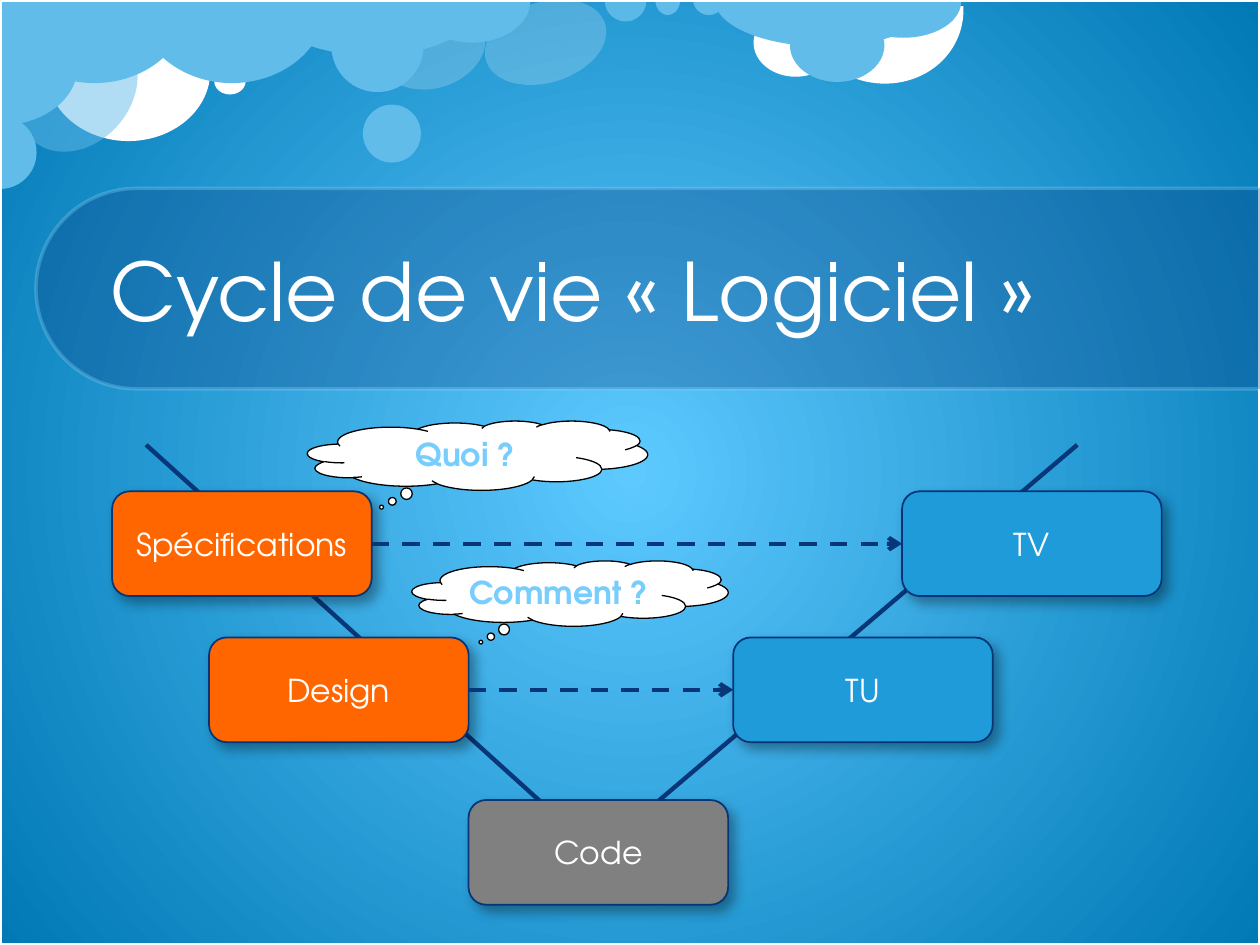
from lxml.etree import SubElement
from pptx import Presentation
from pptx.dml.color import RGBColor
from pptx.enum.dml import MSO_LINE
from pptx.enum.shapes import MSO_CONNECTOR, MSO_SHAPE
from pptx.enum.text import MSO_ANCHOR, PP_ALIGN
from pptx.oxml.ns import qn
from pptx.util import Pt

FONT = "TeX Gyre Adventor"
COLORS = {
    "white": "FFFFFF", "black": "000000", "glow": "5DC9FF", "deep": "0079B5",
    "puff": "62BCE9", "pale": "8FD9FB", "navy": "073779", "edge": "043579",
    "orange": "FF6600", "blue": "1F9BDA", "gray": "808080",
    "sky": "78CDFF", "rim": "0088D6",
}
BOX_W, BOX_H = 148.3, 59.8
OVAL, PIE, ARC = MSO_SHAPE.OVAL, MSO_SHAPE.PIE, MSO_SHAPE.ARC
HALF = (0, 108)  # lower half of a pie

# kind, left, top, width, height, turn, color, opacity
PUFFS = [
    (OVAL, 223.9, -3.6, 46.1, 61.9, 72.8, "white", 20),
    (OVAL, 26.6, 0.7, 93.6, 79.9, 0, "white", 100),
    (ARC, 460.1, -43.2, 87.1, 94.3, 106.5, "white", 100),
    (OVAL, 430.6, 5, 48.2, 38.9, 0, "white", 100),
    (PIE, -0.7, -47.5, 109.4, 95, 0, "puff", 100),
    (PIE, 149.8, -31.7, 126, 63.4, 0, "puff", 100),
    (OVAL, 207.4, 59.8, 33.1, 33.1, 0, "puff", 100),
    (OVAL, 13.7, 13, 61.2, 77, 41.8, "puff", 50),
    (PIE, -20.9, 66.2, 41.8, 41.8, 270, "puff", 100),
    (OVAL, 122.4, 38.9, 18, 15.1, 0, "white", 100),
    (PIE, 77.8, -47.5, 109.4, 95, 0, "puff", 100),
    (PIE, 408.2, -27.4, 126, 54, 0, "puff", 100),
    (OVAL, 451.4, 5, 54, 41.8, 0, "puff", 100),
    (PIE, 483.1, -20.2, 66.2, 41.8, 0, "puff", 100),
    (OVAL, 288.7, -11.5, 46.1, 71.3, 72.8, "white", 20),
    (PIE, 345.6, -11.5, 23.8, 23.8, 0, "pale", 50),
    (PIE, 374.4, -9.4, 14.4, 18, 0, "puff", 100),
    (PIE, 396, -9.4, 18, 18, 0, "puff", 100),
    (OVAL, 189.4, 0, 52.6, 52.6, 0, "puff", 100),
    (PIE, 236.9, -23.8, 66.2, 48.2, 0, "puff", 100),
    (PIE, -33.8, -6.5, 67, 89.3, 270, "puff", 100),
]


def rgb(name):
    return RGBColor.from_string(COLORS[name])


def fade(fill, alpha):
    """Set the opacity, in percent, of a solid fill element."""
    if alpha < 100:
        SubElement(fill[0], qn("a:alpha"), val=str(alpha * 1000))


def add_form(slide, kind, left, top, width, height, turn=0, color=None,
             alpha=100, line=None, weight=1, line_alpha=100, adjust=()):
    form = slide.shapes.add_shape(kind, Pt(left), Pt(top), Pt(width), Pt(height))
    form.shadow.inherit = False
    form.rotation = turn
    for i, value in enumerate(adjust):
        form.adjustments[i] = value
    if color:
        form.fill.solid()
        form.fill.fore_color.rgb = rgb(color)
        fade(form._element.spPr.find(qn("a:solidFill")), alpha)
    else:
        form.fill.background()
    if line:
        form.line.color.rgb = rgb(line)
        form.line.width = Pt(weight)
        fade(form._element.spPr.find(qn("a:ln")).find(qn("a:solidFill")), line_alpha)
    else:
        form.line.fill.background()
    return form


def add_text(form, text, size=18, color="white", bold=False, rim=None,
             align=PP_ALIGN.CENTER, space=None):
    frame = form.text_frame
    frame.word_wrap = True
    frame.vertical_anchor = MSO_ANCHOR.MIDDLE
    para = frame.paragraphs[0]
    para.alignment = align
    if space:
        para.line_spacing = Pt(space)
    run = para.add_run()
    run.text = text
    font = run.font
    font.name, font.size, font.bold = FONT, Pt(size), bold
    font.color.rgb = rgb(color)
    if rim:
        props = run._r.get_or_add_rPr()
        line = SubElement(props, qn("a:ln"), w=str(Pt(1)))
        fill = SubElement(line, qn("a:solidFill"))
        SubElement(fill, qn("a:srgbClr"), val=COLORS[rim])
        props.insert(0, line)


def add_shade(form):
    """Give a box its soft drop shadow."""
    effects = form._element.spPr.find(qn("a:effectLst"))
    shade = SubElement(effects, qn("a:outerShdw"), blurRad=str(Pt(7)),
                       dist=str(Pt(5)), dir=str(50 * 60000), rotWithShape="0")
    tint = SubElement(shade, qn("a:srgbClr"), val=COLORS["black"])
    SubElement(tint, qn("a:alpha"), val="35000")


def add_box(slide, text, left, top, color):
    box = add_form(slide, MSO_SHAPE.FLOWCHART_ALTERNATE_PROCESS, left, top,
                   BOX_W, BOX_H, color=color, line="edge")
    add_shade(box)
    add_text(box, text)
    return box


def add_line(slide, x1=0, y1=0, x2=0, y2=0):
    line = slide.shapes.add_connector(MSO_CONNECTOR.STRAIGHT,
                                      Pt(x1), Pt(y1), Pt(x2), Pt(y2))
    line.line.color.rgb = rgb("navy")
    line.line.width = Pt(2.5)
    SubElement(line._element.spPr, qn("a:effectLst"))
    return line


def add_arrow(slide, left, right):
    line = add_line(slide)
    line.begin_connect(left, 3)
    line.end_connect(right, 1)
    line.line.dash_style = MSO_LINE.DASH
    SubElement(line.line._get_or_add_ln(), qn("a:tailEnd"), type="arrow")


def add_cloud(slide, text, left, top, width, height):
    cloud = add_form(slide, MSO_SHAPE.CLOUD_CALLOUT, left, top, width, height,
                     color="white", line="black", weight=0.75,
                     adjust=(-0.282, 0.745))
    add_text(cloud, text, color="sky", bold=True, rim="rim")


def paint_back(slide):
    fill = slide.background.fill
    fill.gradient()
    for stop, name in zip(fill.gradient_stops, ("glow", "deep")):
        stop.color.rgb = rgb(name)
    grad = slide._element.find(".//" + qn("a:gradFill"))
    grad.remove(grad.find(qn("a:lin")))
    round_fill = SubElement(grad, qn("a:path"), {"path": "circle"})
    SubElement(round_fill, qn("a:fillToRect"), dict.fromkeys("ltrb", "50000"))


def main():
    deck = Presentation()
    deck.slide_width, deck.slide_height = Pt(720), Pt(540)
    slide = deck.slides.add_slide(deck.slide_layouts[6])

    # Sky, frame and title band
    paint_back(slide)
    adjusts = {PIE: HALF, ARC: (151.8, 44.48)}
    for kind, *rest in PUFFS:
        add_form(slide, kind, *rest, adjust=adjusts.get(kind, ()))
    add_form(slide, MSO_SHAPE.RECTANGLE, 0, 0, 720, 540, line="white", weight=2)
    add_form(slide, MSO_SHAPE.ROUND_2_SAME_RECTANGLE, 313.2, -185, 114.5, 699.8,
             turn=270, color="navy", alpha=30, line="pale", weight=2,
             line_alpha=30, adjust=(0.5, 0))

    # Arms of the V
    for x in (83.5, 615.6):
        add_line(slide, x, 254.2, 341.3, 487.4)

    # Title
    title = slide.shapes.add_textbox(Pt(56.2), Pt(108), Pt(607.7), Pt(113.8))
    add_text(title, "Cycle de vie «\u00a0Logiciel\u00a0»", size=46,
             align=PP_ALIGN.LEFT, space=56)

    # Steps, joined level by level
    needs = add_box(slide, "Spécifications", 64.1, 280.8, "orange")
    design = add_box(slide, "Design", 119.5, 364.3, "orange")
    unit = add_box(slide, "TU", 419, 364.3, "blue")
    valid = add_box(slide, "TV", 515.5, 280.8, "blue")
    add_box(slide, "Code", 267.8, 457.2, "gray")
    add_arrow(slide, needs, valid)
    add_arrow(slide, design, unit)

    # Questions
    add_cloud(slide, "Quoi ?", 175.7, 240.5, 194.4, 39.6)
    add_cloud(slide, "Comment ?", 235.4, 320.4, 180.7, 37.4)

    deck.save("out.pptx")


if __name__ == "__main__":
    main()
